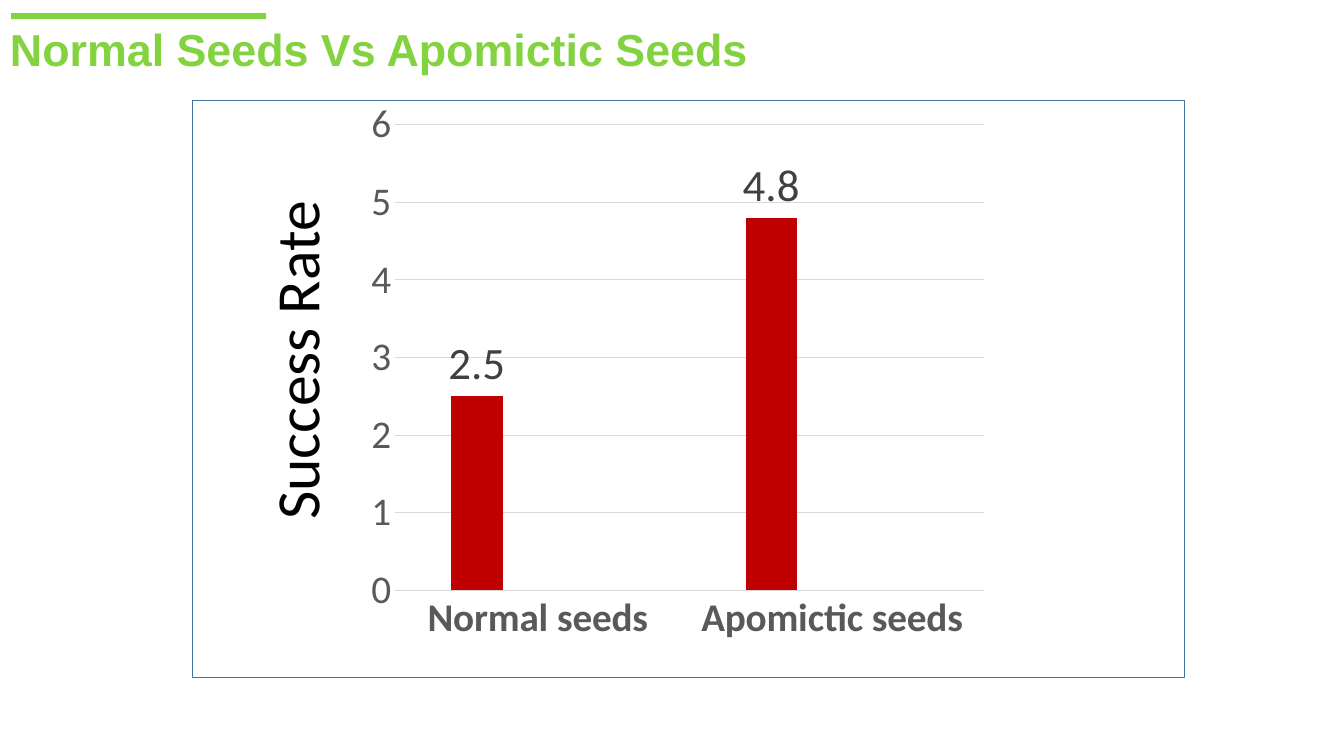
from dataclasses import dataclass
from typing import Optional

from lxml import etree
from pptx import Presentation
from pptx.chart.data import CategoryChartData
from pptx.dml.color import RGBColor
from pptx.enum import chart as ch, shapes, text
from pptx.oxml import ns
from pptx.util import Pt

GREEN = RGBColor(0x83, 0xD3, 0x40)
BLUE = RGBColor(0x43, 0x73, 0x9E)
RED = RGBColor(0xC0, 0x00, 0x00)
ORANGE = RGBColor(0xED, 0x7D, 0x31)
GREY = RGBColor(0xA5, 0xA5, 0xA5)
RULE_GREY = RGBColor(0xD9, 0xD9, 0xD9)
AXIS_GREY = RGBColor(0x59, 0x59, 0x59)
LABEL_GREY = RGBColor(0x40, 0x40, 0x40)
BLACK = RGBColor(0, 0, 0)


@dataclass(frozen=True)
class Box:
    left: float
    top: float
    width: float
    height: float

    def lengths(self) -> tuple:
        return tuple(Pt(v) for v in (self.left, self.top, self.width, self.height))


@dataclass(frozen=True)
class Caption:
    wording: str
    box: Box
    font: str
    size: float
    color: RGBColor
    bold: bool = False
    rotation: float = 0
    spacing: float = 1.0
    anchor: text.MSO_ANCHOR = text.MSO_ANCHOR.TOP
    fit: text.MSO_AUTO_SIZE = text.MSO_AUTO_SIZE.NONE


@dataclass(frozen=True)
class Panel:
    box: Box
    fill: Optional[RGBColor] = None
    outline: Optional[RGBColor] = None


@dataclass(frozen=True)
class Series:
    name: str
    rates: tuple
    color: RGBColor


SEEDS = ("Normal seeds ", "Apomictic seeds ")
SERIES = (
    Series("Series 1", (2.5, 4.8), RED),
    Series("Series 2", (None, None), ORANGE),
    Series("Series 3", (None, None), GREY),
)
CHART_BOX = Box(263.52, 57.6, 455.04, 432)
PLOT_AREA = {"x": 0.041, "y": 0.073, "w": 0.924, "h": 0.77}
CAPTIONS = (
    Caption("Success Rate", Box(38.88, 151.2, 349.92, 104.4), "Calibri", 44, BLACK,
            rotation=270, spacing=0.9, anchor=text.MSO_ANCHOR.MIDDLE),
    Caption("Normal Seeds Vs Apomictic Seeds", Box(0, 12.24, 685.44, 46.08),
            "Arial", 32, GREEN, bold=True, fit=text.MSO_AUTO_SIZE.SHAPE_TO_FIT_TEXT),
)
PANELS = (
    Panel(Box(7.92, 9.36, 182.16, 4.32), fill=GREEN),
    Panel(Box(137.52, 72, 708.48, 411.84), outline=BLUE),
)


def style_font(font, name: str, size: float, color: RGBColor, bold: bool = False) -> None:
    font.name, font.size, font.bold = name, Pt(size), bold
    font.color.rgb = color


def style_rule(line) -> None:
    line.color.rgb = RULE_GREY
    line.width = Pt(0.75)


def set_plot_area(chart) -> None:
    layout = etree.Element(ns.qn("c:layout"))
    manual = etree.SubElement(layout, ns.qn("c:manualLayout"))
    settings = {"layoutTarget": "inner", "xMode": "edge", "yMode": "edge", **PLOT_AREA}
    for tag, value in settings.items():
        etree.SubElement(manual, ns.qn(f"c:{tag}")).set("val", str(value))
    chart._chartSpace.chart.plotArea.insert(0, layout)


def add_success_chart(slide) -> None:
    rates = CategoryChartData()
    rates.categories = SEEDS
    for series in SERIES:
        rates.add_series(series.name, series.rates)
    chart = slide.shapes.add_chart(
        ch.XL_CHART_TYPE.COLUMN_CLUSTERED, *CHART_BOX.lengths(), rates).chart
    chart.has_title = chart.has_legend = False
    style_font(chart.font, "Calibri", 10, BLACK)
    set_plot_area(chart)

    columns = chart.plots[0]
    columns.gap_width, columns.overlap = 219, -27
    columns.vary_by_categories = False
    for series, column in zip(SERIES, columns.series):
        column.format.fill.solid()
        column.format.fill.fore_color.rgb = series.color
    labels = columns.series[0].data_labels
    labels.show_value = True
    labels.position = ch.XL_LABEL_POSITION.OUTSIDE_END
    style_font(labels.font, "Calibri", 32, LABEL_GREY)

    seed_axis, rate_axis = chart.category_axis, chart.value_axis
    for axis in (seed_axis, rate_axis):
        axis.major_tick_mark = axis.minor_tick_mark = ch.XL_TICK_MARK.NONE
        style_font(axis.tick_labels.font, "Calibri", 28, AXIS_GREY, axis is seed_axis)
    style_rule(seed_axis.format.line)
    style_rule(rate_axis.major_gridlines.format.line)
    rate_axis.format.line.fill.background()
    rate_axis.minimum_scale, rate_axis.maximum_scale, rate_axis.major_unit = 0, 6, 1


def add_caption(slide, caption: Caption) -> None:
    holder = slide.shapes.add_textbox(*caption.box.lengths())
    holder.rotation = caption.rotation
    frame = holder.text_frame
    frame.word_wrap = True
    frame.auto_size = caption.fit
    frame.vertical_anchor = caption.anchor
    paragraph = frame.paragraphs[0]
    paragraph.text = caption.wording
    paragraph.line_spacing = caption.spacing
    style_font(paragraph.font, caption.font, caption.size, caption.color, caption.bold)


def add_panel(slide, panel: Panel) -> None:
    rectangle = slide.shapes.add_shape(shapes.MSO_SHAPE.RECTANGLE, *panel.box.lengths())
    rectangle.shadow.inherit = False
    if panel.fill is None:
        rectangle.fill.background()
    else:
        rectangle.fill.solid()
        rectangle.fill.fore_color.rgb = panel.fill
    if panel.outline is None:
        rectangle.line.fill.background()
    else:
        rectangle.line.color.rgb = panel.outline
        rectangle.line.width = Pt(1)


def main() -> None:
    """Build the slide comparing success rates of normal and apomictic seeds."""
    deck = Presentation()
    deck.slide_width, deck.slide_height = Pt(960), Pt(540)
    slide = deck.slides.add_slide(deck.slide_layouts[6])
    add_success_chart(slide)
    for caption in CAPTIONS:
        add_caption(slide, caption)
    for panel in PANELS:
        add_panel(slide, panel)
    deck.save("out.pptx")


if __name__ == "__main__":
    main()
